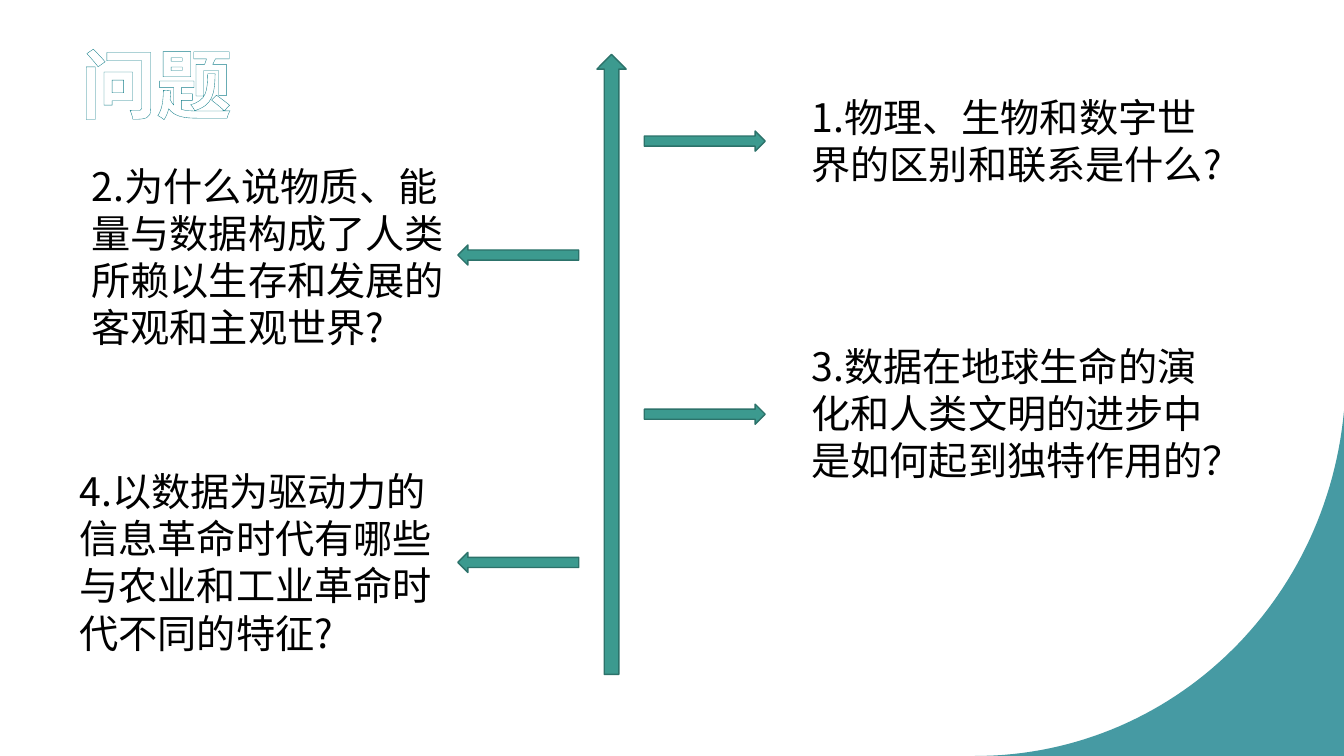
"""Build a slide of four questions set along a vertical arrow."""
import pptx
import pptx.util
import pptx.dml.color
import pptx.enum.shapes
import pptx.enum.text
import pptx.oxml
import pptx.oxml.ns
from pptx.util import Inches

FONT = "Noto Sans CJK SC"
ARROW = pptx.enum.shapes.MSO_SHAPE.RIGHT_ARROW
NS = pptx.oxml.ns.nsdecls("a")


def paint(color_format, hex_color):
    color_format.rgb = pptx.dml.color.RGBColor.from_string(hex_color)


def write(frame, words, size, hex_color):
    frame.auto_size = pptx.enum.text.MSO_AUTO_SIZE.SHAPE_TO_FIT_TEXT
    frame.vertical_anchor = pptx.enum.text.MSO_ANCHOR.TOP
    run = frame.paragraphs[0].add_run()
    run.text = words
    run.font.size = pptx.util.Pt(size)
    run.font.name = FONT
    paint(run.font.fill.solid() or run.font.fill.fore_color, hex_color)
    properties = run.font._element
    properties.set("lang", "zh-CN")
    properties.find(pptx.oxml.ns.qn("a:latin")).addnext(
        pptx.oxml.parse_xml(f'<a:ea {NS} typeface="{FONT}"/>'))
    return run


deck = pptx.Presentation()
deck.slide_width, deck.slide_height = Inches(13.33), Inches(7.5)
slide = deck.slides.add_slide(deck.slide_layouts[5])

start, pull_start, pull_end, end = (9.67, 7.5), (11.58, 7.5), (13.15, 6.02), (13.33, 4.08)
curve = []
for step in range(1, 61):
    t = step / 60
    weights = ((1 - t) ** 3, 3 * t * (1 - t) ** 2, 3 * t ** 2 * (1 - t), t ** 3)
    curve.append(tuple(
        Inches(sum(w * v for w, v in zip(weights, values)))
        for values in zip(start, pull_start, pull_end, end)))
outline = slide.shapes.build_freeform(Inches(start[0]), Inches(start[1]), scale=1.0)
outline.add_line_segments(curve + [(Inches(13.33), Inches(7.5))], close=True)
corner = outline.convert_to_shape()
corner.shadow.inherit = False
corner.fill.solid()
paint(corner.fill.fore_color, "18818C")
corner.fill._xPr.find(pptx.oxml.ns.qn("a:solidFill"))[0].append(
    pptx.oxml.parse_xml(f'<a:alpha {NS} val="80000"/>'))
corner.line.fill.background()

arrows = [
    (6.39, 1.3, 1.2, 0.2, 0),
    (4.54, 2.43, 1.2, 0.2, 180),
    (6.39, 4.01, 1.2, 0.2, 0),
    (4.54, 5.48, 1.2, 0.2, 180),
    (2.99, 3.47, 6.15, 0.29, 270),
]
for left, top, width, height, rotation in arrows:
    arrow = slide.shapes.add_shape(
        ARROW, Inches(left), Inches(top), Inches(width), Inches(height))
    arrow.rotation = rotation
    arrow.shadow.inherit = False
    arrow.fill.solid()
    paint(arrow.fill.fore_color, "3C9A8F")
    paint(arrow.line.color, "2C726A")
    arrow.line.width = pptx.util.Pt(1)

questions = [
    (7.95, 0.88, 4.12, 1.04, "1.物理、生物和数字世界的区别和联系是什么?"),
    (0.81, 1.56, 3.87, 1.99, "2.为什么说物质、能量与数据构成了人类所赖以生存和发展的客观和主观世界?"),
    (7.95, 3.35, 4.16, 1.51, "3.数据在地球生命的演化和人类文明的进步中是如何起到独特作用的？"),
    (0.69, 4.59, 3.99, 1.99, "4.以数据为驱动力的信息革命时代有哪些与农业和工业革命时代不同的特征?"),
]
for left, top, width, height, words in questions:
    question = slide.shapes.add_textbox(
        Inches(left), Inches(top), Inches(width), Inches(height))
    question.text_frame.word_wrap = True
    write(question.text_frame, words, 28, "000000")

heading = slide.shapes.title
heading.left, heading.top = Inches(0.69), Inches(0.32)
heading.width, heading.height = Inches(1.72), Inches(1.01)
heading.text_frame.word_wrap = False
heading_run = write(heading.text_frame, "问题", 54, "FFFFFF")
heading_run.font.bold = True
heading_run.font._element.insert(0, pptx.oxml.parse_xml(
    f'<a:ln {NS} w="6600"><a:solidFill><a:srgbClr val="18818C"/></a:solidFill></a:ln>'))
heading.text_frame.paragraphs[0].alignment = pptx.enum.text.PP_ALIGN.CENTER
heading.text_frame.paragraphs[0].line_spacing = 1.0

deck.save("out.pptx")
